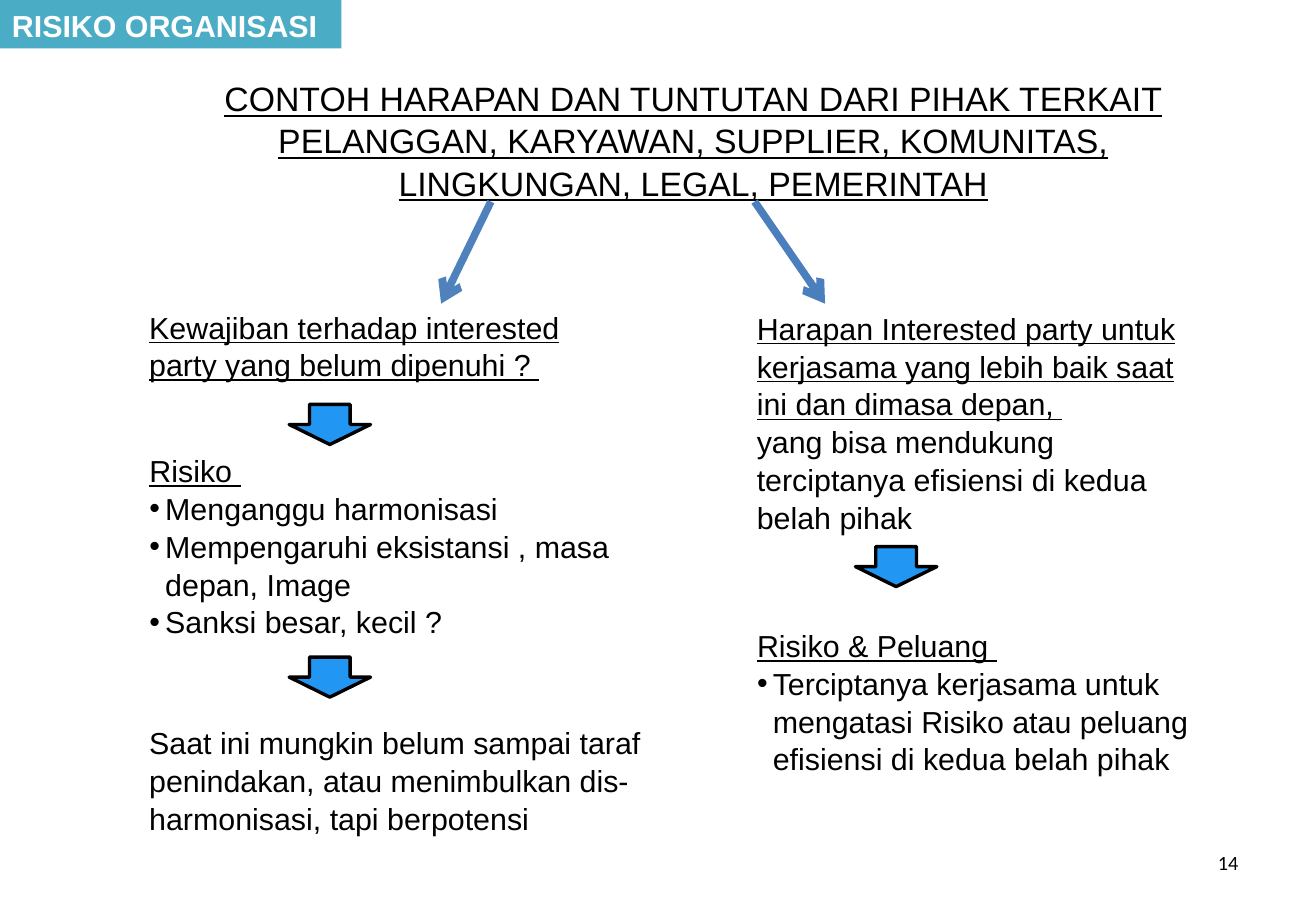
from dataclasses import dataclass
from typing import Any

from lxml.etree import SubElement
from pptx import Presentation
from pptx.dml.color import RGBColor as RGB
from pptx.enum.shapes import MSO_CONNECTOR as CONN, MSO_SHAPE as SHAPE
from pptx.enum.text import MSO_ANCHOR as ANCHOR, MSO_AUTO_SIZE as FIT, PP_ALIGN as ALIGN
from pptx.oxml.ns import qn
from pptx.util import Emu, Pt

SCALE = 9144


def px(n: int) -> Emu:
    return Emu(n * SCALE)


@dataclass(frozen=True)
class Theme:
    black: RGB = RGB(0, 0, 0)
    white: RGB = RGB(255, 255, 255)
    banner: RGB = RGB(0x4B, 0xAC, 0xC6)
    step: RGB = RGB(0x21, 0x96, 0xF3)
    branch_left: RGB = RGB(0x4F, 0x81, 0xBD)
    branch_right: RGB = RGB(0x4B, 0x7E, 0xBC)
    font: str = "Arial"
    number_font: str = "Calibri"
    title: Pt = Pt(20)
    body: Pt = Pt(18)
    number: Pt = Pt(12)
    step_line: Pt = Pt(2)
    branch_line: Pt = Pt(4.5)
    spacing: float = 1.04


T = Theme()
BODY = {"name": T.font, "size": T.body}
HEAD = BODY | {"underline": True}
TITLE = HEAD | {"size": T.title}
BANNER = BODY | {"bold": True}
NUMBER = {"name": T.number_font, "size": T.number}


@dataclass(frozen=True)
class Box:
    x: int
    y: int
    w: int
    h: int


@dataclass(frozen=True)
class Para:
    text: str
    fmt: dict[str, Any]
    bullet: bool = False
    align: ALIGN = ALIGN.LEFT
    color: RGB = T.black
    spacing: float = T.spacing


@dataclass(frozen=True)
class Block:
    box: Box
    paras: tuple[Para, ...]


@dataclass(frozen=True)
class Branch:
    x1: int
    x2: int
    color: RGB


COL_LEFT, COL_RIGHT = 113, 613
BRANCH_TOP, BRANCH_BOTTOM = 166, 250
STEP_W, STEP_H = 67, 33

HEADING = Block(Box(129, 58, 883, 111), (
    Para("CONTOH HARAPAN DAN TUNTUTAN DARI PIHAK TERKAIT PELANGGAN, KARYAWAN, "
         "SUPPLIER, KOMUNITAS, LINGKUNGAN, LEGAL, PEMERINTAH", TITLE, align=ALIGN.CENTER),))
RISKS = (
    Block(Box(COL_LEFT, 366, 467, 162), (
        Para("Risiko ", HEAD),
        Para("Menganggu harmonisasi", BODY, bullet=True),
        Para("Mempengaruhi eksistansi , masa depan, Image", BODY, bullet=True),
        Para("Sanksi besar, kecil ?", BODY, bullet=True))),
    Block(Box(COL_RIGHT, 510, 467, 131), (
        Para("Risiko & Peluang ", HEAD),
        Para("Terciptanya kerjasama untuk mengatasi Risiko atau peluang "
             "efisiensi di kedua belah pihak", BODY, bullet=True))),
)
NOTES = (
    Block(Box(COL_LEFT, 248, 417, 71), (
        Para("Kewajiban terhadap interested party yang belum dipenuhi ? ", HEAD),)),
    Block(Box(COL_LEFT, 590, 467, 101), (
        Para("Saat ini mungkin belum sampai taraf penindakan, atau menimbulkan "
             "dis-harmonisasi, tapi berpotensi", BODY),)),
    Block(Box(COL_RIGHT, 249, 367, 192), (
        Para("Harapan Interested party untuk kerjasama yang lebih baik saat ini "
             "dan dimasa depan, ", HEAD),
        Para("yang bisa mendukung terciptanya efisiensi di kedua belah pihak", BODY))),
    Block(Box(776, 695, 253, 40), (
        Para("14", NUMBER, align=ALIGN.RIGHT, spacing=1.0),)),
)
TAG = Block(Box(0, 0, 281, 40), (Para("RISIKO ORGANISASI", BANNER, color=T.white),))
STEPS = tuple(Box(x, y, STEP_W, STEP_H) for x, y in ((238, 333), (238, 541), (704, 450)))
BRANCHES = (Branch(404, 363, T.branch_left), Branch(621, 679, T.branch_right))


def place(sp, box: Box) -> None:
    sp.left, sp.top, sp.width, sp.height = map(px, (box.x, box.y, box.w, box.h))


def area(box: Box) -> tuple[Emu, ...]:
    return px(box.x), px(box.y), px(box.w), px(box.h)


def set_bullet(p, on: bool) -> None:
    pPr = p._p.get_or_add_pPr()
    indent = px(13) if on else 0
    pPr.set("marL", str(int(indent)))
    pPr.set("indent", str(-int(indent)))
    if on:
        SubElement(pPr, qn("a:buChar")).set("char", "•")
    else:
        SubElement(pPr, qn("a:buNone"))


def write(sp, paras: tuple[Para, ...]) -> None:
    tf = sp.text_frame
    for key, value in {"word_wrap": True, "auto_size": FIT.NONE,
                       "vertical_anchor": ANCHOR.TOP}.items():
        setattr(tf, key, value)
    for i, para in enumerate(paras):
        p = tf.add_paragraph() if i else tf.paragraphs[0]
        set_bullet(p, para.bullet)
        for key, value in {"alignment": para.align, "space_before": Pt(0),
                           "line_spacing": para.spacing}.items():
            setattr(p, key, value)
        r = p.add_run()
        r.text = para.text
        for key, value in para.fmt.items():
            setattr(r.font, key, value)
        r.font.color.rgb = para.color


def fill_placeholder(sp, block: Block) -> None:
    place(sp, block.box)
    write(sp, block.paras)


def add_shape(s, kind: SHAPE, box: Box, fill: RGB):
    sp = s.shapes.add_shape(kind, *area(box))
    sp.shadow.inherit = False
    sp.fill.solid()
    sp.fill.fore_color.rgb = fill
    return sp


def add_step(s, box: Box) -> None:
    sp = add_shape(s, SHAPE.DOWN_ARROW, box, T.step)
    sp.line.color.rgb = T.black
    sp.line.width = T.step_line


def add_branch(s, branch: Branch) -> None:
    cx = s.shapes.add_connector(CONN.STRAIGHT, px(branch.x1), px(BRANCH_TOP),
                                px(branch.x2), px(BRANCH_BOTTOM))
    cx.line.color.rgb = branch.color
    cx.line.width = T.branch_line
    SubElement(cx.line._get_or_add_ln(), qn("a:tailEnd")).set("type", "arrow")
    SubElement(cx._element.spPr, qn("a:effectLst"))


def add_tag(s, block: Block) -> None:
    sp = add_shape(s, SHAPE.RECTANGLE, block.box, T.banner)
    sp.line.fill.background()
    write(sp, block.paras)


def main() -> None:
    prs = Presentation()
    prs.slide_width, prs.slide_height = px(1083), px(750)
    s = prs.slides.add_slide(prs.slide_layouts[3])
    fill_placeholder(s.shapes.title, HEADING)
    for idx, block in enumerate(RISKS, start=1):
        fill_placeholder(s.placeholders[idx], block)
    for block in NOTES:
        write(s.shapes.add_textbox(*area(block.box)), block.paras)
    for box in STEPS:
        add_step(s, box)
    for branch in BRANCHES:
        add_branch(s, branch)
    add_tag(s, TAG)
    prs.save("out.pptx")


if __name__ == "__main__":
    main()
